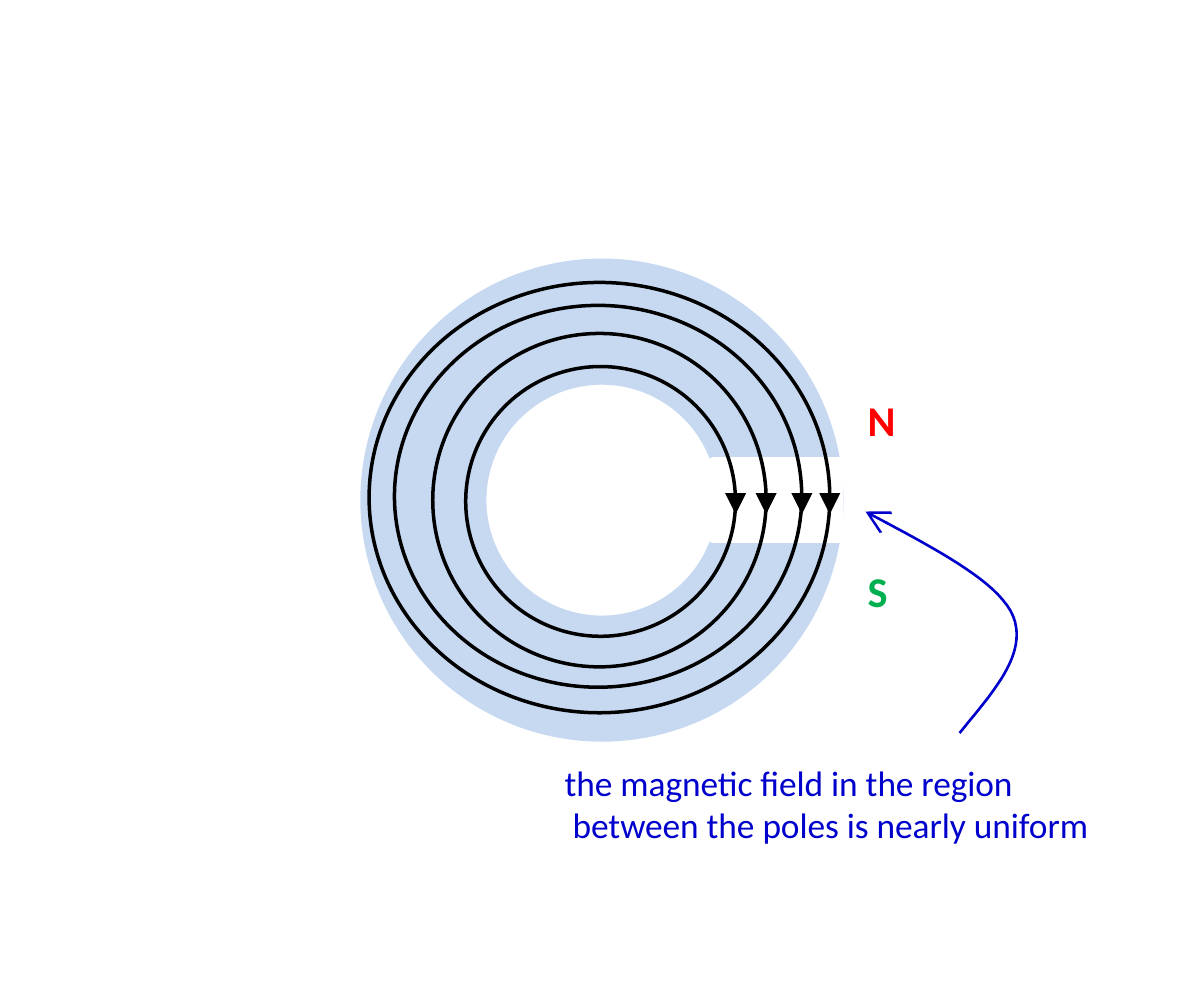
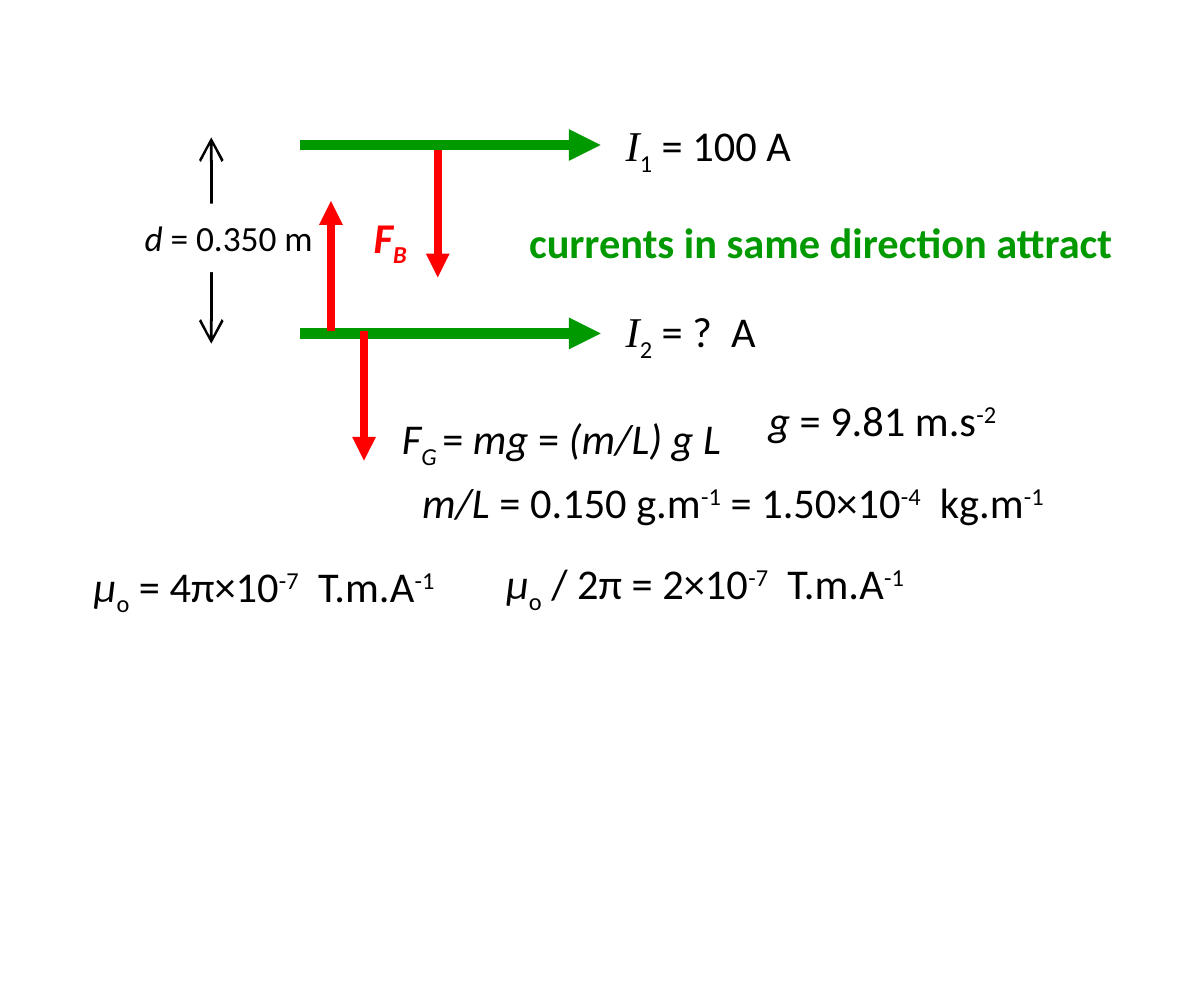
from dataclasses import dataclass

from lxml.etree import SubElement
from pptx import Presentation
from pptx.dml.color import RGBColor as Rgb
from pptx.enum.shapes import MSO_CONNECTOR as Link, MSO_SHAPE as Kind
from pptx.enum.text import MSO_AUTO_SIZE as Fit
from pptx.oxml.ns import qn
from pptx.util import Inches, Pt


@dataclass(frozen=True)
class Theme:
    font: str = "Calibri"
    serif: str = "Times New Roman"
    black: str = "000000"
    white: str = "FFFFFF"
    iron: str = "C6D9F1"
    red: str = "FF0000"
    north: str = "FF0000"
    south: str = "00B050"
    note: str = "0000CC"
    green: str = "009900"
    body: float = 12
    small: float = 10
    thin: float = 0.75
    ring: float = 1
    edge: float = 2
    force: float = 2.25
    wire: float = 3


T = Theme()
SHIFT = {"_": "-25000", "^": "30000"}


def stroke(item, color, width, head=None, tail=None):
    item.line.color.rgb = Rgb.from_string(color)
    item.line.width = Pt(width)
    ln = item.line._get_or_add_ln()
    for tag, end in (("a:headEnd", head), ("a:tailEnd", tail)):
        if end:
            SubElement(ln, qn(tag), type=end)


def add_line(slide, start, end, color, width, **ends):
    line = slide.shapes.add_connector(
        Link.STRAIGHT, *(Inches(v) for v in (*start, *end)))
    stroke(line, color, width, **ends)
    SubElement(line._element.spPr, qn("a:effectLst"))


def add_shape(slide, kind, box, color, width, fill=None):
    shape = slide.shapes.add_shape(kind, *(Inches(v) for v in box))
    shape.shadow.inherit = False
    if fill:
        shape.fill.solid()
        shape.fill.fore_color.rgb = Rgb.from_string(fill)
    else:
        shape.fill.background()
    stroke(shape, color, width)


def add_text(slide, box, *lines, size=T.body, color=T.black, bold=False,
             fill=None):
    """Each line is a list of (text, marks): i italic, t serif, _ sub, ^ super."""
    label = slide.shapes.add_textbox(*(Inches(v) for v in box))
    if fill:
        label.fill.solid()
        label.fill.fore_color.rgb = Rgb.from_string(fill)
    frame = label.text_frame
    frame.word_wrap = False
    frame.auto_size = Fit.SHAPE_TO_FIT_TEXT
    for n, line in enumerate(lines):
        para = frame.add_paragraph() if n else frame.paragraphs[0]
        for text, marks in line:
            run = para.add_run()
            run.text = text
            font = run.font
            font.name = T.serif if "t" in marks else T.font
            font.size = Pt(size)
            font.bold = bold
            font.italic = "i" in marks
            font.color.rgb = Rgb.from_string(color)
            for mark in SHIFT.keys() & set(marks):
                run._r.get_or_add_rPr().set("baseline", SHIFT[mark])


def bezier(a, b, c, d, steps=20):
    """Points on a cubic curve, without its first point."""
    for n in range(1, steps + 1):
        t = n / steps
        u = 1 - t
        yield tuple(u**3 * p + 3 * u * u * t * q + 3 * u * t * t * r + t**3 * s
                    for p, q, r, s in zip(a, b, c, d))


def add_curve(slide, knots, color, width, **ends):
    """Draw joined cubic curves: a start, then three points for each curve."""
    points = [p for n in range(0, len(knots) - 1, 3)
              for p in bezier(*knots[n:n + 4])]
    pen = slide.shapes.build_freeform(*(Inches(v) for v in knots[0]))
    pen.add_line_segments(
        [(Inches(x), Inches(y)) for x, y in points], close=False)
    curve = pen.convert_to_shape()
    curve.shadow.inherit = False
    curve.fill.background()
    stroke(curve, color, width, **ends)


def magnet(slide):
    add_shape(slide, Kind.DONUT, (1.43, 1.03, 1.87, 1.87), T.iron, T.edge,
              fill=T.iron)
    add_shape(slide, Kind.RECTANGLE, (2.8, 1.81, 0.5, 0.31), T.white, T.edge,
              fill=T.white)
    rings = ((1.83, 1.44, 1.06, 1.06), (1.7, 1.31, 1.31, 1.31),
             (1.55, 1.2, 1.6, 1.5), (1.45, 1.11, 1.81, 1.69))
    for ring in rings:
        add_shape(slide, Kind.OVAL, ring, T.black, T.ring)
    for left, _, width, _ in rings:
        x = left + width
        add_line(slide, (x, 1.97), (x, 2.02), T.black, T.thin, tail="triangle")

    add_text(slide, (3.31, 1.5, 0.31, 0.3), [("N", "")], color=T.north,
             bold=True)
    add_text(slide, (3.31, 2.17, 0.28, 0.3), [("S", "")], color=T.south,
             bold=True)
    add_text(slide, (2.12, 2.94, 2.32, 0.44),
             [("the magnetic field in the region", "")],
             [(" between the poles is nearly uniform", "")],
             size=T.small, color=T.note)
    add_curve(slide, [(3.77, 2.88), (3.9, 2.72), (4.04, 2.57), (3.98, 2.42),
                      (3.92, 2.28), (3.66, 2.15), (3.4, 2.01)],
              T.note, T.thin, tail="arrow")


def wires(slide):
    add_line(slide, (0.83, 0.54), (0.83, 1.35), T.black, T.thin,
             head="arrow", tail="arrow")
    for y in (0.57, 1.31):
        add_line(slide, (1.18, y), (2.36, y), T.green, T.wire, tail="triangle")
    add_text(slide, (0.47, 0.8, 0.87, 0.27), [("d ", "i"), ("= 0.350 m", "")],
             size=T.small, fill=T.white)
    for x, start, end in ((1.3, 1.3, 0.79), (1.72, 0.59, 1.09),
                          (1.43, 1.3, 1.81)):
        add_line(slide, (x, start), (x, end), T.red, T.force, tail="triangle")

    add_text(slide, (1.37, 0.78, 0.34, 0.3), [("F", "i"), ("B", "i_")],
             color=T.red, bold=True)
    add_text(slide, (1.98, 0.8, 2.52, 0.3),
             [("currents in same direction attract", "")],
             color=T.green, bold=True)

    unit = [("  T.m.A", ""), ("-1", "^")]
    mu = [("μ", "i"), ("o", "_")]
    sums = (
        ((2.36, 0.42, 0.9), [("I", "it"), ("1", "_"), (" = 100 A", "")]),
        ((2.36, 1.15, 0.73), [("I", "it"), ("2", "_"), (" = ?  A", "")]),
        ((1.48, 1.57, 1.52), [("F", "i"), ("G ", "i_"), ("=", ""),
                              (" mg ", "i"), ("=", ""), (" (m/L) g L", "i")]),
        ((1.56, 1.82, 2.71), [("m/L", "i"), (" = 0.150 g.m", ""), ("-1", "^"),
                              (" = 1.50×10", ""), ("-4", "^"),
                              ("  kg.m", ""), ("-1", "^")]),
        ((0.27, 2.15, 1.64), [*mu, (" = 4π×10", ""), ("-7", "^"), *unit]),
        ((1.89, 2.14, 1.83), [*mu, (" / 2π = 2×10", ""), ("-7", "^"), *unit]),
        ((2.92, 1.5, 1.16), [("g", "i"), (" = 9.81 m.s", ""), ("-2", "^")]),
    )
    for place, line in sums:
        add_text(slide, (*place, 0.3), line)


def main():
    deck = Presentation()
    deck.slide_width, deck.slide_height = Inches(4.73), Inches(3.94)
    blank = deck.slide_layouts[6]
    for draw in (magnet, wires):
        draw(deck.slides.add_slide(blank))
    deck.save("out.pptx")


if __name__ == "__main__":
    main()
